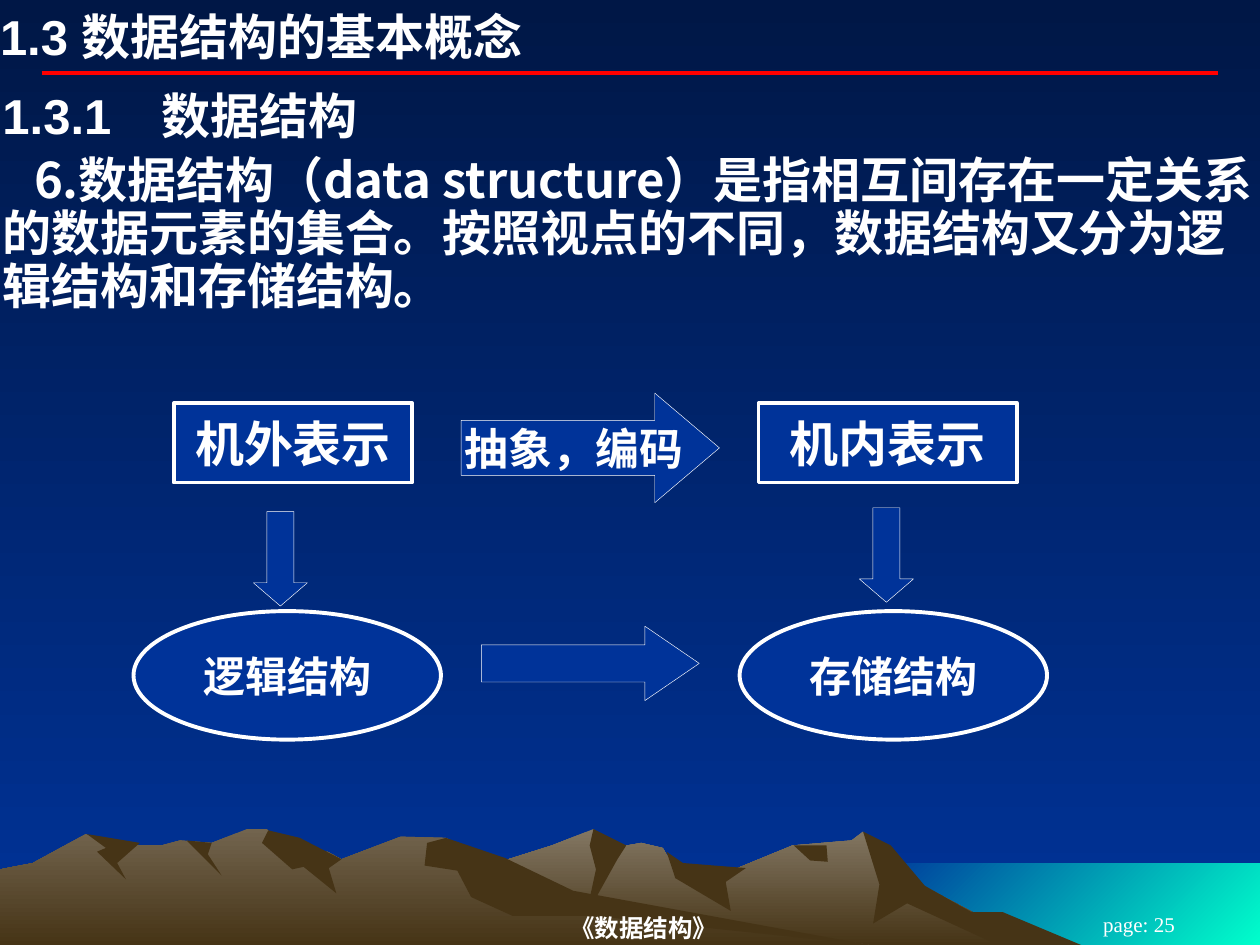
from pptx import Presentation
from pptx.dml.color import RGBColor
from pptx.enum.shapes import MSO_CONNECTOR, MSO_SHAPE
from pptx.enum.text import MSO_ANCHOR, MSO_AUTO_SIZE, PP_ALIGN
from pptx.oxml.ns import qn
from pptx.util import Emu, Pt
from lxml.etree import SubElement

PX = 9144  # 100 px to the inch
WIDTH, HEIGHT = 1000, 750


class Theme:
    white, red = "FFFFFF", "FF0000"
    navy, blue = "001746", "003399"
    aqua, brown = "00FFCC", "463416"
    ridge, hill = "837763", "72644E"
    sans, serif, chinese = "Arial", "Times New Roman", "Noto Sans CJK SC"
    heading, arrow_label, oval_label, footer, page = 28, 25, 24, 14, 12
    thick, hairline = 2.25, 0.25


# Content
TITLE = "1.3 数据结构的基本概念"
SUBTITLE = "1.3.1\t数据结构"
BODY = ("6.数据结构（data structure）是指相互间存在一定关系的数据元素的集合。"
        "按照视点的不同，数据结构又分为逻辑结构和存储结构。")
FOOTER = "《数据结构》"
PAGE = "page: 25"

# Diagram: two columns, each a box, a down arrow and an oval
COLUMN_PITCH = 481
COLUMNS = [("机外表示", 138, 189, "逻辑结构"), ("机内表示", 602, 205, "存储结构")]
# Arrows between the columns: box, head length, label
ACROSS = [((366, 312, 205, 87), 0.59, "抽象，编码"), ((382, 497, 173, 59), 0.73, "")]

# Landscape, back to front: colours (two make a gradient), angle, outline
SHADOW = ((Theme.brown,), 0)
RIDGE = ((Theme.ridge, Theme.brown), 270)
HILLS = ((Theme.hill, Theme.brown), 270)
WATER = ((Theme.blue, Theme.aqua), 315)
LANDSCAPE = [
    (WATER, [(WIDTH, HEIGHT), (683, HEIGHT), (683, 685), (WIDTH, 685)]),
    (RIDGE, [(821, HEIGHT), (723, 698), (685, 660), (676, 667), (629, 671),
             (566, 697), (536, 690), (526, 673), (509, 669), (486, 673),
             (471, 658), (438, 671), (394, 685), (327, 709), (258, HEIGHT)]),
    (SHADOW, [(771, 724), (734, 703), (707, 671), (685, 660), (698, 702),
              (693, 733), (720, 717), (792, HEIGHT), (858, HEIGHT), (796, 724)]),
    (SHADOW, [(471, 658), (468, 671), (473, 690), (465, 727), (490, 682), (497, 671)]),
    (SHADOW, [(529, 676), (536, 697), (580, 723), (576, 700), (592, 689), (542, 685)]),
    (SHADOW, [(630, 671), (643, 683), (657, 684), (656, 671)]),
    (HILLS, [(690, HEIGHT), (432, 712), (354, 665), (318, 664), (271, 682),
             (260, 676), (236, 681), (212, 658), (196, 658), (168, 669),
             (143, 667), (128, 671), (94, 671), (68, 662), (26, 685),
             (0, 690), (0, HEIGHT)]),
    (SHADOW, [(213, 659), (208, 669), (232, 690), (241, 688), (267, 709),
              (261, 689), (271, 682), (238, 665)]),
    (SHADOW, [(354, 665), (339, 669), (337, 687), (363, 691), (374, 712),
              (407, 727), (472, 727), (690, HEIGHT), (455, 707), (401, 681)]),
    (SHADOW, [(148, 667), (168, 669), (165, 678), (176, 695)]),
    (SHADOW, [(69, 662), (84, 673), (77, 676), (100, 698), (93, 685), (111, 669)]),
]


def px(*lengths):
    return [Emu(length * PX) for length in lengths]


def rgb(color):
    return RGBColor.from_string(color)


def paint(fill, colors, angle=0):
    if len(colors) == 1:
        fill.solid()
        fill.fore_color.rgb = rgb(colors[0])
        return
    fill.gradient()
    fill.gradient_angle = angle
    for stop, color in zip(fill.gradient_stops, colors):
        stop.color.rgb = rgb(color)


def write(shape, text, size, font=Theme.sans, bold=True, align=PP_ALIGN.CENTER,
          anchor=MSO_ANCHOR.MIDDLE, insets=(10, 5), wrap=True):
    frame = shape.text_frame
    frame.text = text
    frame.auto_size = MSO_AUTO_SIZE.NONE
    frame.word_wrap = wrap
    frame.vertical_anchor = anchor
    frame.margin_left, frame.margin_top = px(*insets)
    frame.margin_right, frame.margin_bottom = px(*insets)
    paragraph = frame.paragraphs[0]
    paragraph.alignment = align
    paragraph.space_before = Pt(0)
    for run in paragraph.runs:
        run.font.name, run.font.size, run.font.bold = font, Pt(size), bold
        run.font.color.rgb = rgb(Theme.white)
        SubElement(run._r.get_or_add_rPr(), qn("a:ea"), typeface=Theme.chinese)
    return paragraph


def place(shape, box):
    shape.left, shape.top, shape.width, shape.height = px(*box)
    return shape


def add_diagram_shape(shapes, preset, box, line_width, label="", size=Theme.heading):
    shape = shapes.add_shape(preset, *px(*box))
    shape.shadow.inherit = False
    paint(shape.fill, [Theme.blue])
    shape.line.color.rgb = rgb(Theme.white)
    shape.line.width = Pt(line_width)
    if label:
        write(shape, label, size, wrap=False)
    return shape


def add_arrow(shapes, box, head, label=""):
    arrow = add_diagram_shape(shapes, MSO_SHAPE.RIGHT_ARROW, box, Theme.hairline,
                              label, Theme.arrow_label)
    arrow.adjustments[1] = head
    return arrow


presentation = Presentation()
presentation.slide_width, presentation.slide_height = px(WIDTH, HEIGHT)
slide = presentation.slides.add_slide(presentation.slide_layouts[1])
shapes = slide.shapes
paint(slide.background.fill, [Theme.navy, Theme.blue], 270)

# Landscape
for (colors, angle), points in LANDSCAPE:
    builder = shapes.build_freeform(*points[0], scale=PX)
    builder.add_line_segments(points[1:], close=True)
    outline = builder.convert_to_shape()
    outline.shadow.inherit = False
    outline.line.fill.background()
    paint(outline.fill, colors, angle)

# Rule under the title
rule = shapes.add_connector(MSO_CONNECTOR.STRAIGHT, *px(33, 58, 967, 58))
rule.line.color.rgb = rgb(Theme.red)
rule.line.width = Pt(Theme.thick)
SubElement(rule._element.spPr, qn("a:effectLst"))

# Title, subtitle and body
heading = dict(size=Theme.heading, align=PP_ALIGN.LEFT, anchor=MSO_ANCHOR.TOP)
write(place(shapes.title, (0, 5, 650, 47)), TITLE, insets=(0, 0), **heading)
subtitle = write(shapes.add_textbox(*px(0, 67, WIDTH, 49)), SUBTITLE,
                 insets=(2, 1), **heading)
tabs = SubElement(subtitle._p.get_or_add_pPr(), qn("a:tabLst"))
SubElement(tabs, qn("a:tab"), pos=str(126 * PX), algn="l")
body = write(place(slide.placeholders[1], (0, 123, WIDTH, 128)), BODY,
             font=Theme.chinese, insets=(2, 1), **heading)
body.line_spacing = 0.9
properties = body._p.get_or_add_pPr()
properties.set("marL", "0")
properties.set("indent", str(25 * PX))
SubElement(properties, qn("a:buNone"))

# Diagram
for column, (form, left, width, structure) in enumerate(COLUMNS):
    shift = column * COLUMN_PITCH
    add_diagram_shape(shapes, MSO_SHAPE.FLOWCHART_PROCESS, (left, 320, width, 63),
                      Theme.thick, form)
    add_diagram_shape(shapes, MSO_SHAPE.OVAL, (106 + shift, 485, 244, 102),
                      Theme.thick, structure, Theme.oval_label)
    add_arrow(shapes, (185 + shift, 422 - 3 * column, 75, 43), 0.43).rotation = 90
for box, head, label in ACROSS:
    add_arrow(shapes, box, head, label)

# Footer
write(shapes.add_textbox(*px(208, 722, 606, 28)), FOOTER, Theme.footer,
      font=Theme.serif, insets=(0, 1))
write(shapes.add_textbox(*px(825, 725, 158, 17)), PAGE, Theme.page,
      font=Theme.serif, bold=False)

presentation.save("out.pptx")
